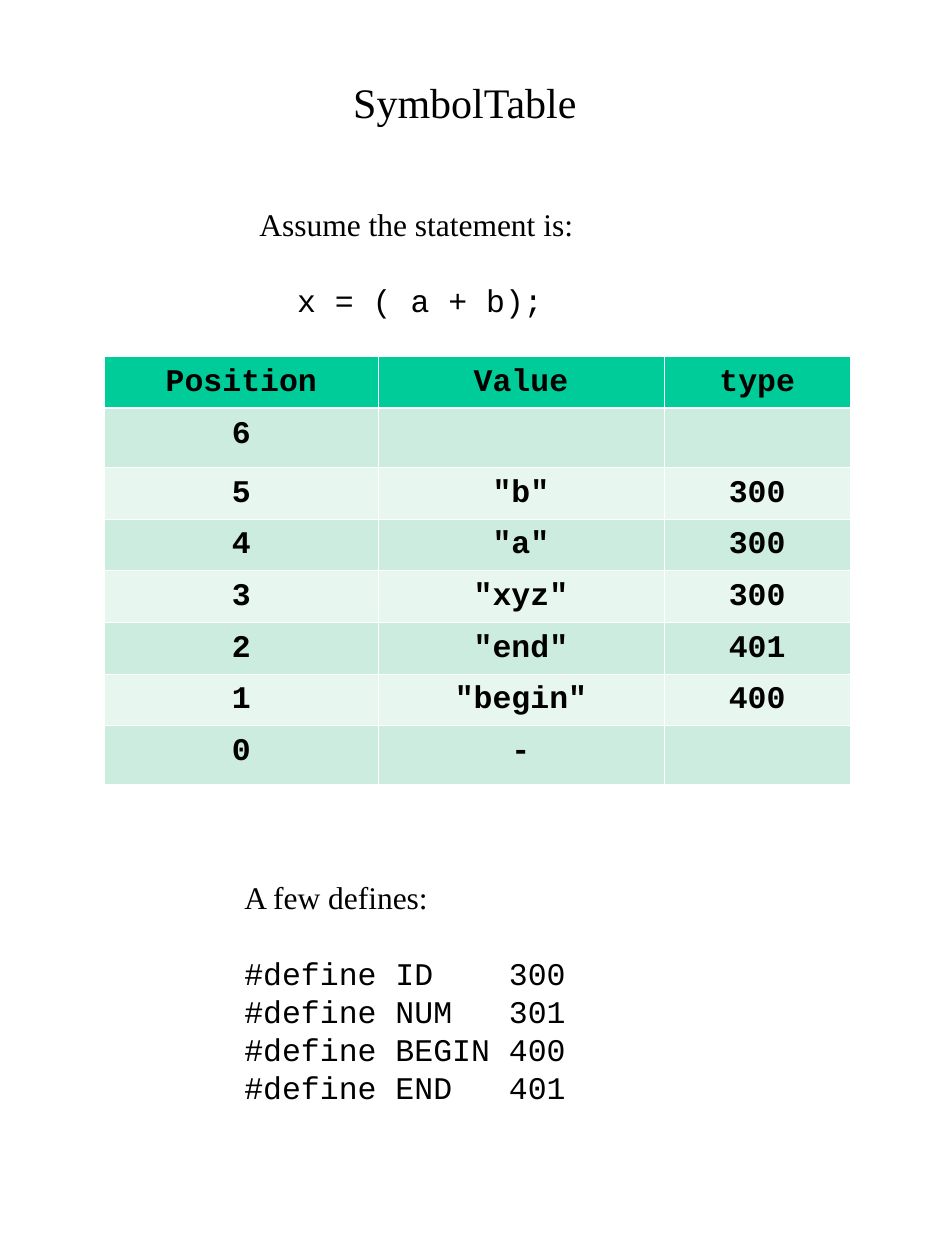
from dataclasses import dataclass

from lxml import etree
from pptx import Presentation, util as u
from pptx.dml.color import RGBColor
from pptx.enum import text as t
from pptx.oxml import ns


@dataclass(frozen=True)
class Theme:
    serif: str = "Times New Roman"
    mono: str = "Courier New"
    ink: str = "000000"
    header: str = "00CC99"
    bands: tuple = ("CBECDE", "E7F6EF")
    rule: str = "FFFFFF"
    title_size: float = 24
    body_size: float = 18
    line_pitch: float = 21.7
    thin: float = 0.45
    thick: float = 1.47


THEME = Theme()
CHAR = 0.15  # width in inches of one monospaced character at body size


def write(paragraph, text, font=THEME.mono, size=THEME.body_size, bold=False,
          align=t.PP_ALIGN.LEFT, pitch=THEME.line_pitch, before=0, indent=0, tab=None):
    """Fill a paragraph with one formatted run."""
    paragraph.alignment = align
    paragraph.space_before = u.Pt(before)
    if pitch:
        paragraph.line_spacing = u.Pt(pitch)
    props = paragraph._p.get_or_add_pPr()
    if indent:
        props.set("marL", str(u.Inches(indent)))
    if tab:
        stops = etree.SubElement(props, ns.qn("a:tabLst"))
        etree.SubElement(stops, ns.qn("a:tab"), pos=str(u.Inches(tab)), algn="l")
    run = paragraph.add_run()
    run.text = text
    run.font.name, run.font.size, run.font.bold = font, u.Pt(size), bold
    run.font.color.rgb = RGBColor.from_string(THEME.ink)


class SlideBuilder:
    def __init__(self, slide, theme):
        self.slide, self.theme = slide, theme

    def title(self, text, left, top, width, height):
        title = self.slide.shapes.title
        title.left, title.top, title.width, title.height = map(
            u.Inches, (left, top, width, height))
        title.text_frame.vertical_anchor = t.MSO_ANCHOR.MIDDLE
        write(title.text_frame.paragraphs[0], text, font=self.theme.serif,
              size=self.theme.title_size, align=t.PP_ALIGN.CENTER, pitch=None)

    def code_note(self, heading, code_lines, left, top, width, height, **code_format):
        """A heading, one line of space, then lines of code."""
        note = self.slide.shapes.add_textbox(*map(u.Inches, (left, top, width, height)))
        frame = note.text_frame
        frame.word_wrap = False
        frame.auto_size = t.MSO_AUTO_SIZE.SHAPE_TO_FIT_TEXT
        write(frame.paragraphs[0], heading, font=self.theme.serif)
        for number, line in enumerate(code_lines):
            write(frame.add_paragraph(), line,
                  before=0 if number else self.theme.line_pitch, **code_format)

    def table(self, rows, left, top, column_widths, row_heights):
        frame = self.slide.shapes.add_table(
            len(rows), len(column_widths), u.Inches(left), u.Inches(top),
            u.Inches(sum(column_widths)), u.Inches(sum(row_heights)))
        grid = frame.table
        for column, width in zip(grid.columns, column_widths):
            column.width = u.Inches(width)
        for row, height in zip(grid.rows, row_heights):
            row.height = u.Inches(height)
        for r, values in enumerate(rows):
            fill = self.theme.bands[(r - 1) % 2] if r else self.theme.header
            for c, value in enumerate(values):
                cell = grid.cell(r, c)
                self.borders(cell, r)
                cell.fill.solid()
                cell.fill.fore_color.rgb = RGBColor.from_string(fill)
                if value:
                    write(cell.text_frame.paragraphs[0], value, bold=True,
                          align=t.PP_ALIGN.CENTER)

    def borders(self, cell, row):
        """Thin rules, with a thick one below the header row."""
        thick_side = {0: "B", 1: "T"}.get(row)
        props = cell._tc.get_or_add_tcPr()
        for side in "LRTB":
            weight = self.theme.thick if side == thick_side else self.theme.thin
            line = etree.SubElement(props, ns.qn(f"a:ln{side}"), w=str(u.Pt(weight)))
            fill = etree.SubElement(line, ns.qn("a:solidFill"))
            etree.SubElement(fill, ns.qn("a:srgbClr"), val=self.theme.rule)


def main():
    deck = Presentation()
    deck.slide_width, deck.slide_height = u.Inches(7.5), u.Inches(10)
    page = SlideBuilder(deck.slides.add_slide(deck.slide_layouts[5]), THEME)

    page.title("SymbolTable", 0.5, 0.5, 6.38, 0.61)

    # Symbol table, newest entry on top
    symbols = [
        ("Position", "Value", "type"),
        ("6", "", ""),
        ("5", '"b"', "300"),
        ("4", '"a"', "300"),
        ("3", '"xyz"', "300"),
        ("2", '"end"', "401"),
        ("1", '"begin"', "400"),
        ("0", "-", ""),
    ]
    # Rows with an empty cell are taller
    heights = [0.41 if all(row) else 0.47 for row in symbols]
    page.table(symbols, 0.83, 2.83, (2.17, 2.27, 1.48), heights)

    # Statement being compiled
    page.code_note("Assume the statement is:", ["x = ( a + b);"],
                   1.96, 1.58, 2.69, 1, indent=2 * CHAR)

    # Token codes, lined up after the longest name
    tokens = {"ID": 300, "NUM": 301, "BEGIN": 400, "END": 401}
    defines = [f"#define {name}\t{code}" for name, code in tokens.items()]
    page.code_note("A few defines:", defines, 1.84, 6.92, 2.75, 1.9, tab=14 * CHAR)

    deck.save("out.pptx")


if __name__ == "__main__":
    main()
